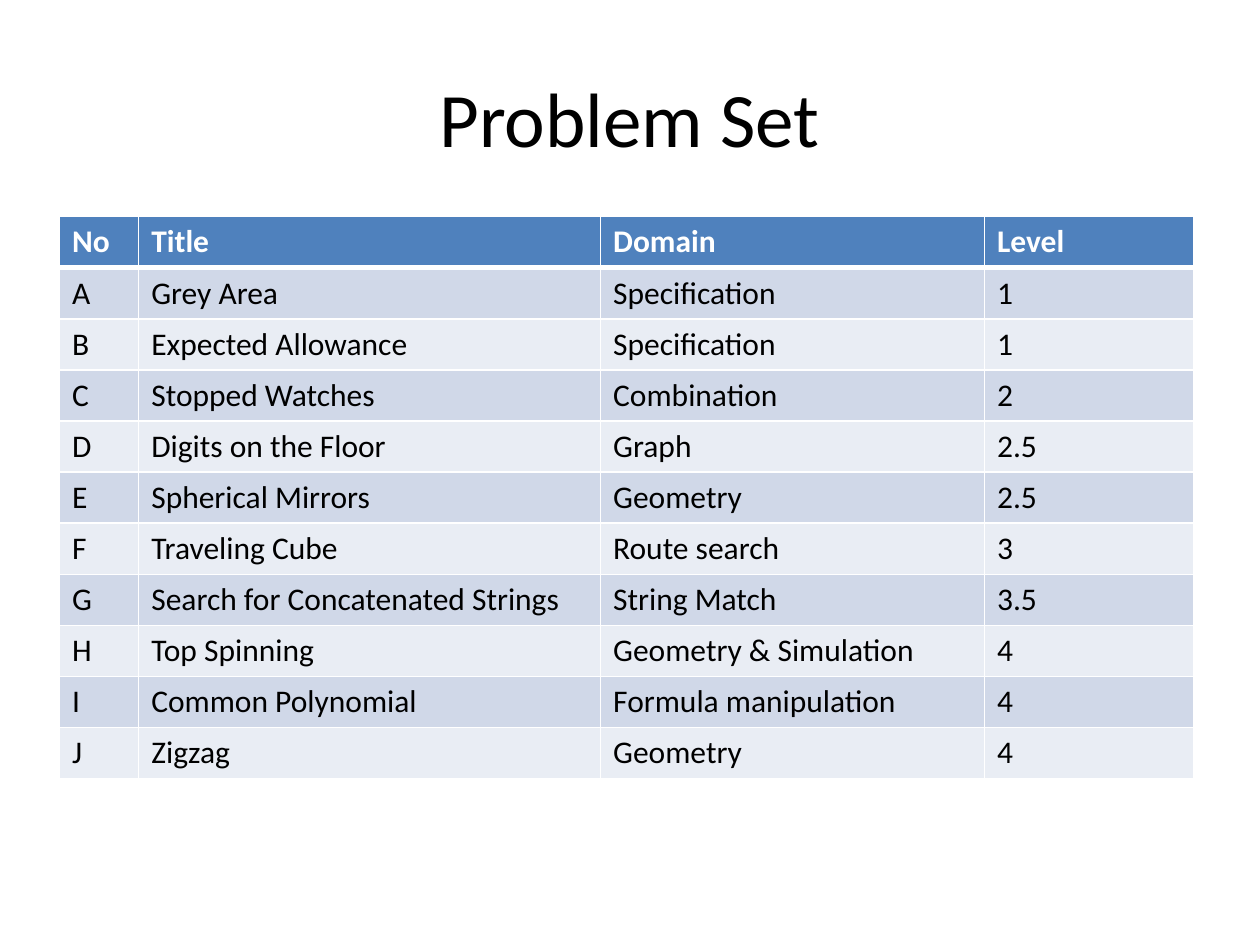
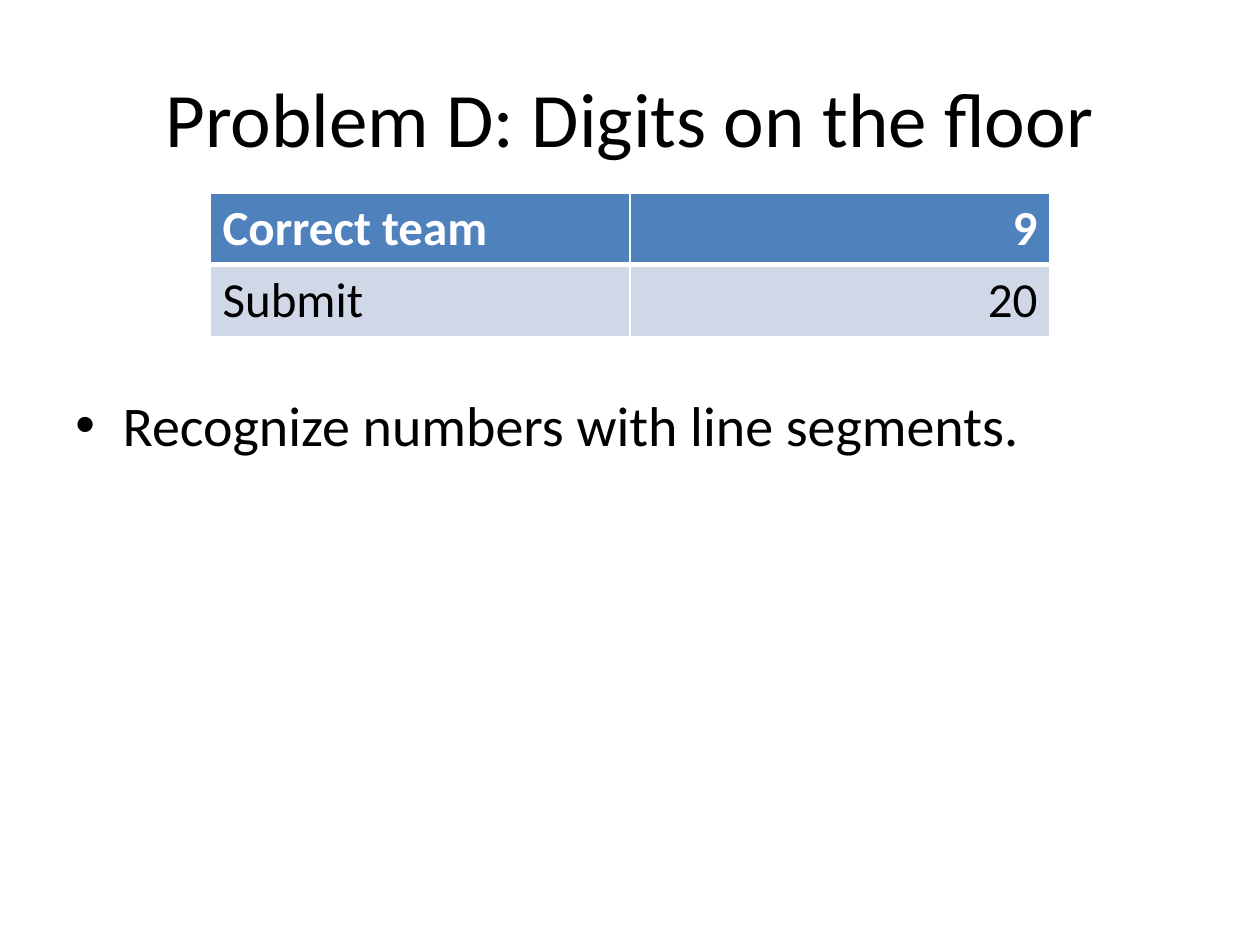
from lxml.etree import SubElement
from pptx import Presentation
from pptx.dml.color import RGBColor
from pptx.enum.text import MSO_ANCHOR, PP_ALIGN
from pptx.oxml.ns import qn
from pptx.util import Pt

FONT = "Calibri"
HUES = {"ink": "000000", "page": "FFFFFF", "head": "4F81BD",
        "odd": "D0D8E8", "even": "E9EDF4"}
HEAD_BOX = (36, 21.6, 648, 90)

PROBLEMS = [
    ("No", "Title", "Domain", "Level"),
    ("A", "Grey Area", "Specification", "1"),
    ("B", "Expected Allowance", "Specification", "1"),
    ("C", "Stopped Watches", "Combination", "2"),
    ("D", "Digits on the Floor", "Graph", "2.5"),
    ("E", "Spherical Mirrors", "Geometry", "2.5"),
    ("F", "Traveling Cube", "Route search", "3"),
    ("G", "Search for Concatenated Strings", "String Match", "3.5"),
    ("H", "Top Spinning", "Geometry & Simulation", "4"),
    ("I", "Common Polynomial", "Formula manipulation", "4"),
    ("J", "Zigzag", "Geometry", "4"),
]
SCORES = [("Correct team", "9"), ("Submit", "20")]


def hue(name):
    return RGBColor.from_string(HUES[name])


def add_run(para, text, size, color="ink", bold=False):
    run = para.add_run()
    run.text = text
    font = run.font
    font.name, font.size, font.bold = FONT, Pt(size), bold
    font.color.rgb = hue(color)


def add_box(slide, box, anchor=MSO_ANCHOR.TOP):
    frame = slide.shapes.add_textbox(*map(Pt, box)).text_frame
    frame.word_wrap = True
    frame.vertical_anchor = anchor
    return frame.paragraphs[0]


def add_title(slide, text):
    para = add_box(slide, HEAD_BOX, MSO_ANCHOR.MIDDLE)
    para.alignment = PP_ALIGN.CENTER
    add_run(para, text, 44)


def add_point(slide, box, text):
    para = add_box(slide, box)
    # Hanging bullet
    props = para._p.get_or_add_pPr()
    props.set("marL", str(Pt(27)))
    props.set("indent", str(Pt(-27)))
    SubElement(props, qn("a:buFont"), typeface="Arial")
    SubElement(props, qn("a:buChar"), char="•")
    add_run(para, text, 32)


def add_edge(cell, side, width):
    line = SubElement(cell._tc.get_or_add_tcPr(), qn(f"a:ln{side}"),
                      w=str(Pt(width)))
    fill = SubElement(line, qn("a:solidFill"))
    SubElement(fill, qn("a:srgbClr"), val=HUES["page"])


def add_grid(slide, box, rows, shares, size, right=()):
    """Fill the box with a table; shares are the relative column widths."""
    left, top, width, height = box
    grid = slide.shapes.add_table(len(rows), len(shares),
                                  *map(Pt, box)).table
    grid.horz_banding = False
    for col, share in zip(grid.columns, shares):
        col.width = Pt(width * share / sum(shares))
    for i, row in enumerate(rows):
        grid.rows[i].height = Pt(height / len(rows))
        band = "head" if i == 0 else "odd" if i % 2 else "even"
        for j, text in enumerate(row):
            cell = grid.cell(i, j)
            # Thick rule under the header, thin rules elsewhere
            for side in "LRTB":
                thick = (i, side) in ((0, "B"), (1, "T"))
                add_edge(cell, side, 3 if thick else 1)
            cell.fill.solid()
            cell.fill.fore_color.rgb = hue(band)
            para = cell.text_frame.paragraphs[0]
            para.alignment = PP_ALIGN.RIGHT if j in right else PP_ALIGN.LEFT
            add_run(para, text, size, "ink" if i else "page", i == 0)


def list_slide(slide):
    add_title(slide, "Problem Set")
    add_grid(slide, (34, 123.8, 648, 321.2), PROBLEMS,
             (0.63, 3.67, 3.05, 1.66), 18)


def score_slide(slide):
    add_title(slide, "Problem D: Digits on the floor")
    add_point(slide, (36, 219.6, 648, 168.5),
              "Recognize numbers with line segments.")
    add_grid(slide, (120, 110.2, 480, 82), SCORES, (1, 1), 28, right=(1,))


def main():
    deck = Presentation()
    deck.slide_width, deck.slide_height = Pt(720), Pt(540)
    for build in (list_slide, score_slide):
        slide = deck.slides.add_slide(deck.slide_layouts[6])
        slide.background.fill.solid()
        slide.background.fill.fore_color.rgb = hue("page")
        build(slide)
    deck.save("out.pptx")


if __name__ == "__main__":
    main()
